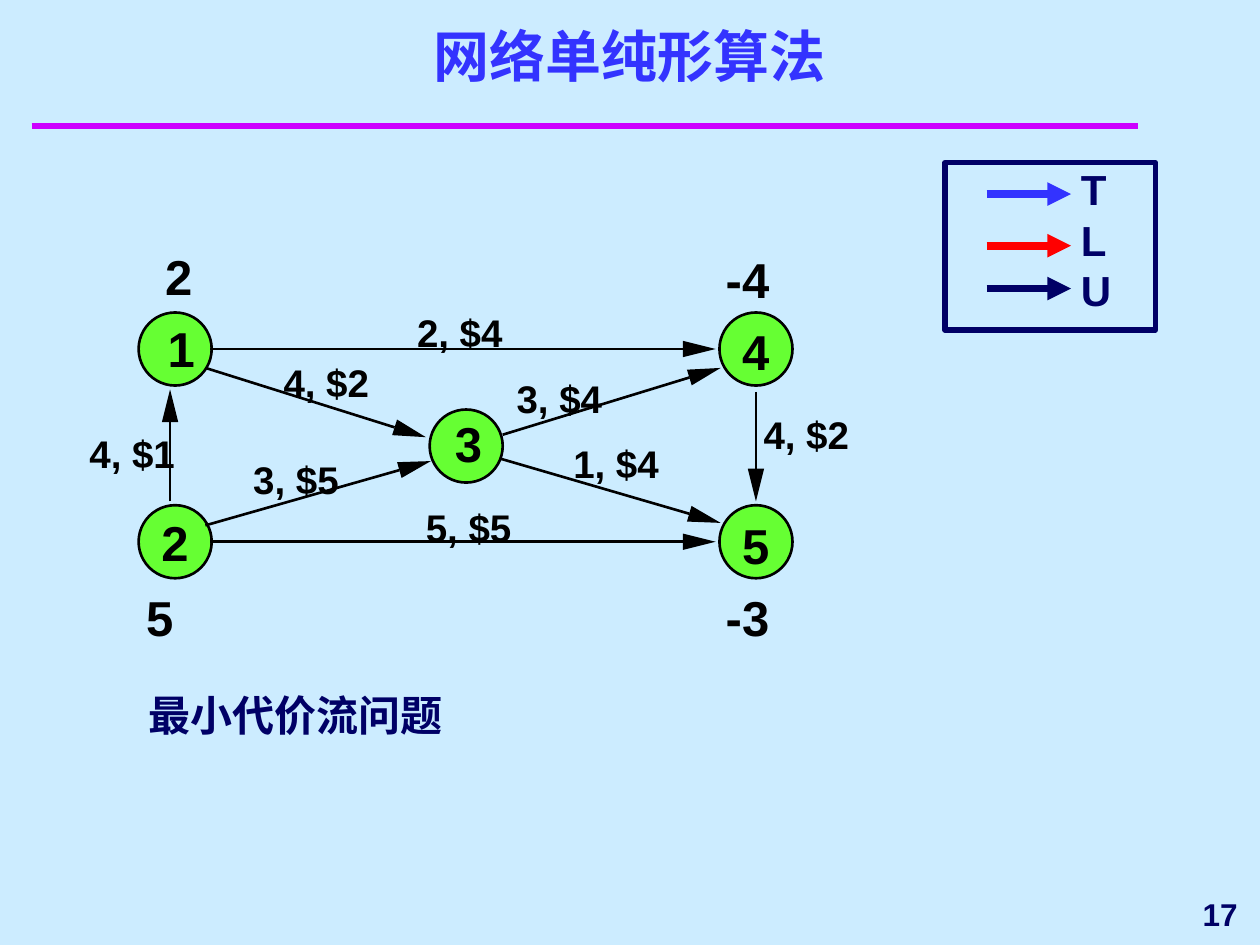
import math
import pptx
import pptx.util
import pptx.dml.color
import pptx.enum.shapes
import pptx.enum.text
import pptx.oxml.ns
import lxml.etree
from dataclasses import dataclass


@dataclass(frozen=True)
class Theme:
    font: str = "Arial"
    background: str = "CCECFF"
    blue: str = "3333FF"
    navy: str = "000066"
    rule: str = "CC00FF"
    red: str = "FF0000"
    ink: str = "000000"
    node: str = "66FF33"
    title: int = 32
    big: int = 28
    body: int = 24
    cost: int = 22
    number: int = 18


T = Theme()
Inches = pptx.util.Inches
Shape = pptx.enum.shapes.MSO_SHAPE
Align = pptx.enum.text.PP_ALIGN
Anchor = pptx.enum.text.MSO_ANCHOR
PAD = (0.1, 0.05)
NODE = 0.58
HEAD_LENGTH, HEAD_WIDTH = 0.26, 0.13

TITLE = "网络单纯形算法"
CAPTION = "最小代价流问题"
PAGE = "17"
LEFT, MIDDLE, RIGHT = 1.1, 3.41, 5.71
UPPER, CENTRE, LOWER = 2.48, 3.25, 4.01
# number: node corner, number corner, supply, supply corner
NODES = [
    ("1", (LEFT, UPPER), (1.33, 2.53), "2", (1.31, 1.96)),
    ("2", (LEFT, LOWER), (1.28, 4.07), "5", (1.16, 4.66)),
    ("5", (RIGHT, LOWER), (5.89, 4.09), "-3", (5.76, 4.66)),
    ("3", (MIDDLE, CENTRE), (3.61, 3.28), "", None),
    ("4", (RIGHT, UPPER), (5.89, 2.55), "-4", (5.76, 1.98)),
]
ARCS = [
    ((1.67, 2.77), (5.68, 2.77), "2, $4", (3.31, 2.45)),
    ((1.35, 3.98), (1.35, 3.09), "4, $1", (0.71, 3.41)),
    ((1.67, 4.3), (5.68, 4.3), "5, $5", (3.38, 4)),
    ((6, 3.11), (6, 3.98), "4, $2", (6.06, 3.26)),
    ((1.63, 2.92), (3.38, 3.47), "4, $2", (2.25, 2.85)),
    ((3.99, 3.45), (5.72, 2.92), "3, $4", (4.1, 2.98)),
    ((3.97, 3.64), (5.72, 4.15), "1, $4", (4.55, 3.49)),
    ((1.63, 4.17), (3.42, 3.66), "3, $5", (2.01, 3.62)),
]
LEGEND = [("T", T.blue, 1.54), ("L", T.red, 1.95), ("U", T.navy, 2.29)]


def rgb(value):
    """Return the colour object for a hex value."""
    return pptx.dml.color.RGBColor.from_string(value)


def add_text(s, text, at, size, color=T.ink, align=Align.LEFT,
             anchor=Anchor.TOP, pad=(0, 0), wrap=False, grow=True):
    """Add bold text, one paragraph for each line."""
    tf = s.shapes.add_textbox(*map(Inches, at)).text_frame
    tf.margin_left = tf.margin_right = Inches(pad[0])
    tf.margin_top = tf.margin_bottom = Inches(pad[1])
    tf.word_wrap = wrap
    tf.vertical_anchor = anchor
    fit = pptx.enum.text.MSO_AUTO_SIZE
    tf.auto_size = fit.SHAPE_TO_FIT_TEXT if grow else fit.NONE
    for i, line in enumerate(text.split("\n")):
        p = tf.add_paragraph() if i else tf.paragraphs[0]
        p.alignment = align
        r = p.add_run()
        r.text = line
        r.font.name, r.font.size, r.font.bold = T.font, pptx.util.Pt(size), True
        r.font.color.rgb = rgb(color)


def add_line(s, start, end, color, width, arrow=False):
    """Add a straight line, with an arrowhead at its end if asked."""
    kind = pptx.enum.shapes.MSO_CONNECTOR.STRAIGHT
    line = s.shapes.add_connector(kind, *map(Inches, (*start, *end)))
    line.line.color.rgb = rgb(color)
    line.line.width = pptx.util.Pt(width)
    qn = pptx.oxml.ns.qn
    props = line._element.spPr
    if arrow:
        lxml.etree.SubElement(props.find(qn("a:ln")), qn("a:tailEnd"), type="triangle")
    lxml.etree.SubElement(props, qn("a:effectLst"))


def add_shape(s, kind, at, line, width, fill=None):
    """Add an outlined preset shape."""
    sp = s.shapes.add_shape(kind, *map(Inches, at))
    sp.shadow.inherit = False
    if fill:
        sp.fill.solid()
        sp.fill.fore_color.rgb = rgb(fill)
    else:
        sp.fill.background()
    sp.line.color.rgb = rgb(line)
    sp.line.width = pptx.util.Pt(width)


def add_arc(s, start, tip):
    """Add a network arc with a long solid head."""
    (x0, y0), (x1, y1) = start, tip
    length = math.dist(start, tip)
    ux, uy = (x1 - x0) / length, (y1 - y0) / length
    bx, by = x1 - ux * HEAD_LENGTH, y1 - uy * HEAD_LENGTH
    dx, dy = -uy * HEAD_WIDTH / 2, ux * HEAD_WIDTH / 2
    add_line(s, start, (bx, by), T.ink, 1.5)
    builder = s.shapes.build_freeform(Inches(x1), Inches(y1))
    corners = [(bx + dx, by + dy), (bx - dx, by - dy)]
    builder.add_line_segments([(Inches(x), Inches(y)) for x, y in corners])
    sp = builder.convert_to_shape()
    sp.shadow.inherit = False
    sp.fill.solid()
    sp.fill.fore_color.rgb = rgb(T.ink)
    sp.line.fill.background()


def main():
    """Build the network slide and save it."""
    prs = pptx.Presentation()
    prs.slide_width, prs.slide_height = Inches(10), Inches(7.5)
    s = prs.slides.add_slide(prs.slide_layouts[6])
    s.background.fill.solid()
    s.background.fill.fore_color.rgb = rgb(T.background)

    add_line(s, (0.25, 1), (9.03, 1), T.rule, 4)
    add_text(s, TITLE, (0, 0.33, 10, 0.42), T.title, color=T.blue, align=Align.CENTER,
             anchor=Anchor.BOTTOM, pad=PAD, wrap=True, grow=False)

    for _, corner, *_ in NODES:
        add_shape(s, Shape.OVAL, (*corner, NODE, NODE), T.ink, 1.5, fill=T.node)
    for start, tip, _, _ in ARCS:
        add_arc(s, start, tip)
    for number, _, spot, supply, supply_spot in NODES:
        add_text(s, number, (*spot, 0.22, 0.47), T.big)
        if supply:
            width = 0.22 if len(supply) == 1 else 0.35
            add_text(s, supply, (*supply_spot, width, 0.47), T.big)
    for _, _, cost, spot in ARCS:
        add_text(s, cost, (*spot, 0.68, 0.37), T.cost)
    add_text(s, CAPTION, (1.08, 5.42, 4.92, 0.5), T.body, color=T.navy, pad=PAD, wrap=True)

    for _, color, y in LEGEND:
        add_line(s, (7.83, y), (8.5, y), color, 4.5, arrow=True)
    add_text(s, "\n".join(name for name, _, _ in LEGEND), (8.48, 1.25, 0.44, 1.3),
             T.body, color=T.navy, pad=PAD)
    add_shape(s, Shape.RECTANGLE, (7.5, 1.29, 1.67, 1.33), T.navy, 3)
    add_text(s, PAGE, (8, 7, 1.92, 0.5), T.number, color=T.navy, align=Align.RIGHT,
             anchor=Anchor.MIDDLE, pad=PAD, wrap=True, grow=False)
    prs.save("out.pptx")


if __name__ == "__main__":
    main()
